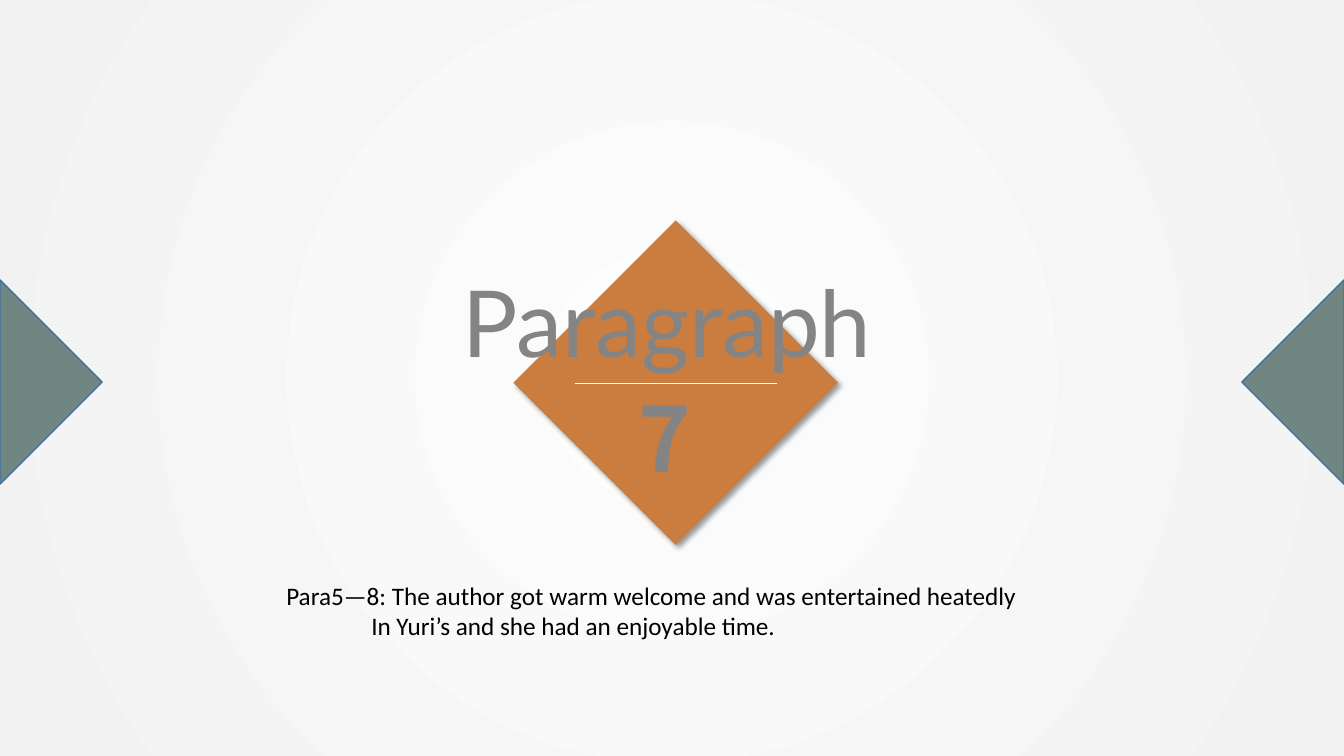
import pptx
import pptx.dml.color
import pptx.enum.shapes
import pptx.enum.text
import pptx.oxml
import pptx.oxml.ns
import pptx.util

RGB = pptx.dml.color.RGBColor
ORANGE = RGB(0xCB, 0x7D, 0x40)
GREEN = RGB(0x6F, 0x86, 0x83)
BLUE = RGB(0x42, 0x71, 0x9B)
GREY = RGB(0x84, 0x84, 0x84)
PALE = RGB(0xFD, 0xFD, 0xFD)
MIST = RGB(0xF2, 0xF2, 0xF2)
WHITE = RGB(0xFF, 0xFF, 0xFF)
BLACK = RGB(0, 0, 0)

COLS, ROWS = 40, 22.5
WIDTH = pptx.util.Inches(13.333)
UNIT = WIDTH / COLS
NS = pptx.oxml.ns.nsdecls("a")


def grid(*cells):
    """Turn grid columns and rows into EMU."""
    return [round(cell * UNIT) for cell in cells]


class Page:
    def __init__(self, deck):
        self.slide = deck.slides.add_slide(deck.slide_layouts[6])
        self.shapes = self.slide.shapes

    def glow(self, inner, outer):
        """Fill the background with a round gradient from the centre."""
        fill = self.slide.background.fill
        fill.gradient()
        for stop, color in zip(fill.gradient_stops, (inner, outer)):
            stop.color.rgb = color
        lin = next(self.slide.element.iter(pptx.oxml.ns.qn("a:lin")))
        lin.getparent().replace(lin, pptx.oxml.parse_xml(
            f'<a:path {NS} path="circle"><a:fillToRect l="50000" t="50000" '
            'r="50000" b="50000"/></a:path>'))

    def diamond(self, left, top, size, color):
        shape = self.shapes.add_shape(
            pptx.enum.shapes.MSO_SHAPE.DIAMOND, *grid(left, top, size, size))
        shape.fill.solid()
        shape.fill.fore_color.rgb = color
        shape.line.fill.background()
        shape.element.spPr.append(pptx.oxml.parse_xml(
            f'<a:effectLst {NS}><a:outerShdw blurRad="50800" dist="38100" '
            'dir="2700000" algn="tl" rotWithShape="0"><a:srgbClr val="000000">'
            '<a:alpha val="40000"/></a:srgbClr></a:outerShdw></a:effectLst>'))

    def wedge(self, base, tip, mid, half):
        """Draw a triangle with its base on a slide edge."""
        points = [(base, mid - half), (tip, mid), (base, mid + half)]
        start, *rest = [grid(*point) for point in points]
        build = self.shapes.build_freeform(*start)
        build.add_line_segments(rest, close=True)
        shape = build.convert_to_shape()
        shape.shadow.inherit = False
        shape.fill.solid()
        shape.fill.fore_color.rgb = GREEN
        shape.line.color.rgb = BLUE
        shape.line.width = pptx.util.Pt(1)

    def rule(self, left, right, row):
        line = self.shapes.add_connector(
            pptx.enum.shapes.MSO_CONNECTOR.STRAIGHT,
            *grid(left, row, right, row))
        line.line.color.rgb = WHITE
        line.line.width = pptx.util.Pt(0.5)
        line.element.spPr.append(pptx.oxml.parse_xml(f"<a:effectLst {NS}/>"))

    def text(self, box, lines, font, size, color, bold=False, align=None,
             indent=0):
        """Write lines; all but the first are indented by grid columns."""
        frame = self.shapes.add_textbox(*grid(*box)).text_frame
        frame.word_wrap = True
        frame.margin_left = frame.margin_right = pptx.util.Inches(0.05)
        frame.margin_top = frame.margin_bottom = pptx.util.Inches(0.05)
        frame.text = "\n".join(lines)
        for index, para in enumerate(frame.paragraphs):
            if index and indent:
                para._p.get_or_add_pPr().set("marL", str(grid(indent)[0]))
            para.alignment = align
            para.font.name = font
            para.font.size = pptx.util.Pt(size)
            para.font.bold = bold
            para.font.color.rgb = color


def main():
    deck = pptx.Presentation()
    deck.slide_width, deck.slide_height = WIDTH, grid(ROWS)[0]
    page = Page(deck)
    page.glow(PALE, MIST)
    page.diamond(15.28, 6.56, 9.66, ORANGE)
    for base, tip in ((COLS, COLS - 3.04), (0, 3.04)):
        page.wedge(base, tip, 11.37, 3.04)
    page.text((13.62, 7.74, 13.95, 3.6), ["Paragraph"], "Lato", 66, GREY)
    page.rule(17.1, 23.12, 11.4)
    page.text((16.95, 11.25, 5.7, 4.16), ["7"], "Noto Sans CJK SC", 64, GREY,
              bold=True, align=pptx.enum.text.PP_ALIGN.CENTER)
    page.text((8.37, 17.13, 24.42, 2.04),
              ["Para5—8: The author got warm welcome and was entertained heatedly",
               "In Yuri’s and she had an enjoyable time."],
              "Calibri", 18, BLACK, indent=2.53)
    deck.save("out.pptx")


if __name__ == "__main__":
    main()
